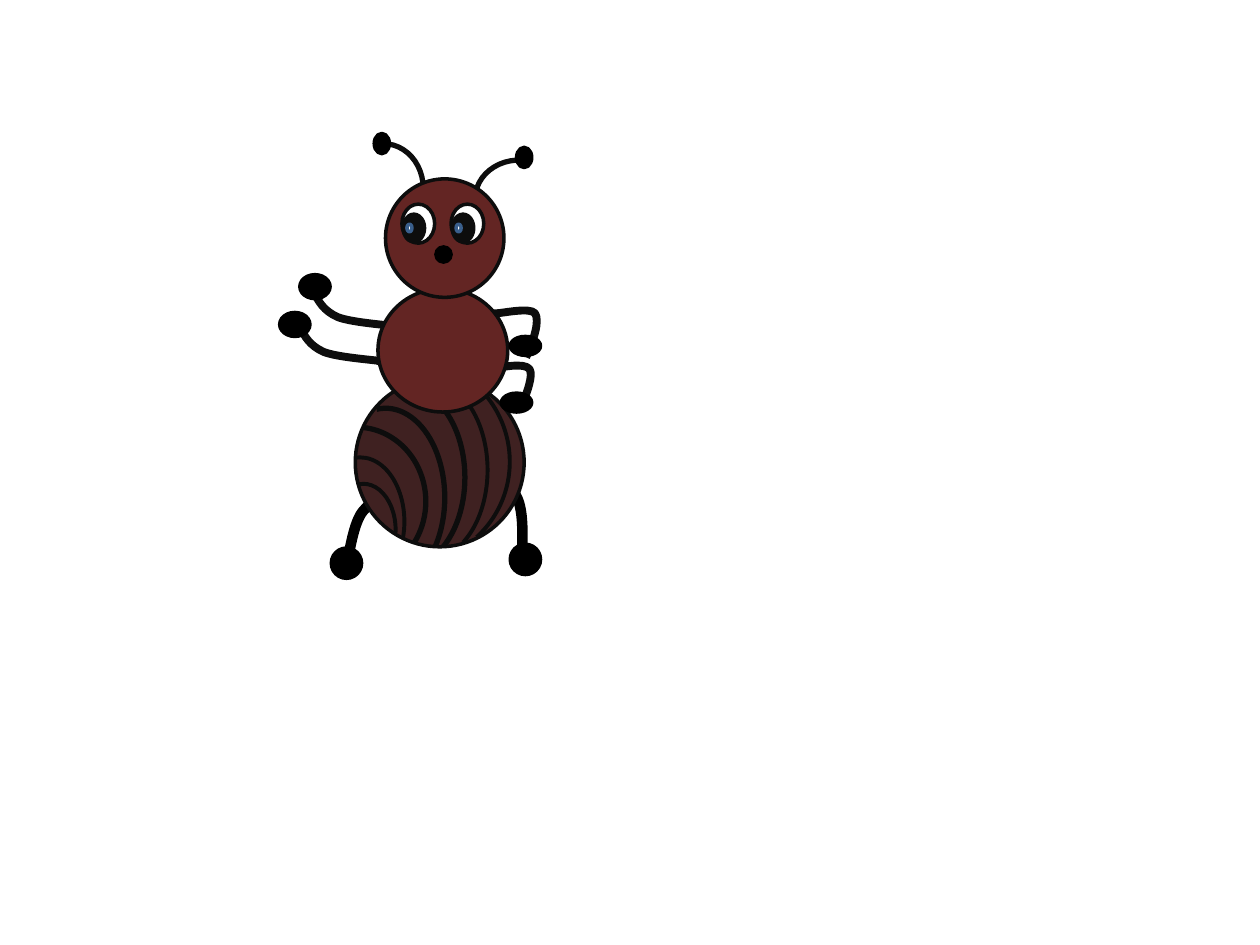
from dataclasses import dataclass
from math import cos, radians, sin

from lxml.etree import SubElement as Sub
from pptx import Presentation
from pptx.dml.color import RGBColor
from pptx.enum.shapes import MSO_SHAPE as Shape
from pptx.oxml.ns import qn
from pptx.shapes.autoshape import Shape as Auto
from pptx.shapes.shapetree import GroupShapes
from pptx.util import Inches, Pt

Point = tuple[float, float]


@dataclass(frozen=True)
class Theme:
    ink: str = "0D0D0D"
    black: str = "000000"
    white: str = "FFFFFF"
    skin: str = "632523"
    belly: str = "3F2121"
    glint: str = "3A5F8C"
    edge: float = 2
    thin: float = 2.25
    thick: float = 3
    arm: float = 4.5
    leg: float = 6


THEME = Theme()


@dataclass(frozen=True)
class Oval:
    left: float
    top: float
    width: float
    height: float
    fill: str = THEME.black
    line: str = THEME.black


@dataclass(frozen=True)
class Arc:
    left: float
    top: float
    width: float
    height: float
    start: float = 162
    end: float = 0
    weight: float = THEME.thick
    turn: float = 0


@dataclass(frozen=True)
class Limb:
    mid: Point
    turn: float
    weight: float
    color: str
    points: tuple[Point, ...]


ARM = ((2.49, 2.32), (2.53, 2.4), (2.57, 2.47), (2.68, 2.52), (2.78, 2.56),
       (3.04, 2.58), (3.11, 2.59), (3.18, 2.6), (3.1, 2.59), (3.1, 2.59))
LOW_ARM = tuple((x - 0.11, y + 0.28) for x, y in ARM)
HIP_ARM = ((4.15, 2.81), (4.21, 2.67), (4.26, 2.52), (4.22, 2.46), (4.18, 2.41),
           (3.96, 2.46), (3.91, 2.46), (3.86, 2.46), (3.91, 2.46), (3.91, 2.46))
LOW_HIP = ((4.12, 3.21), (4.17, 3.08), (4.22, 2.95), (4.19, 2.9), (4.15, 2.84),
           (3.95, 2.89), (3.9, 2.89), (3.85, 2.89), (3.9, 2.89), (3.9, 2.89))
LEFT_LEG = ((3.19, 3.93), (3.07, 3.95), (2.95, 3.96), (2.88, 4.05), (2.8, 4.14),
            (2.77, 4.39), (2.75, 4.46), (2.73, 4.53), (2.75, 4.46), (2.74, 4.48))
RIGHT_LEG = ((3.61, 3.7), (3.8, 3.75), (3.99, 3.79), (4.08, 3.91), (4.17, 4.02),
             (4.14, 4.3), (4.15, 4.38), (4.16, 4.46), (4.15, 4.38), (4.16, 4.4))

LIMBS = (
    Limb((2.81, 2.5), 18.6, THEME.arm, THEME.ink, ARM),
    Limb((4.05, 2.98), 215.7, THEME.arm, THEME.ink, LOW_HIP),
    Limb((2.69, 2.78), 18.6, THEME.arm, THEME.ink, LOW_ARM),
    Limb((4.08, 2.56), 215.7, THEME.arm, THEME.ink, HIP_ARM),
    Limb((2.97, 4.21), 11.8, THEME.leg, THEME.black, LEFT_LEG),
    Limb((3.89, 4.06), 0, THEME.leg, THEME.black, RIGHT_LEG),
)
BELLY = Oval(2.82, 3, 1.34, 1.34, THEME.belly, THEME.ink)
ARCS = (
    Arc(2.59, 3.24, 0.94, 1.42, 158.55, 26.74),
    Arc(2.75, 3.08, 0.94, 1.42, 158.55, 36.8),
    Arc(2.93, 3.02, 0.94, 1.42, 158.55, 38.63, THEME.thin),
    Arc(2.51, 3.63, 0.7, 1.02, 158.88, 12.3, THEME.thin),
    Arc(2.63, 3.84, 0.51, 0.73, 158.37, 3.31, THEME.thin),
    Arc(2.28, 3.39, 1.1, 1.18, 165.52, 21.66),
    Arc(2.4, 2.84, 1.65, 1.63, 163.36, 3.22, THEME.thin, 42.1),
    Arc(2.73, 1.14, 0.63, 0.71),
    Arc(3.81, 1.23, 0.63, 0.71, turn=273.2),
)
CHEST = Oval(3, 2.29, 1.03, 0.98, THEME.skin, THEME.ink)
HEAD = Oval(3.06, 1.42, 0.94, 0.94, THEME.skin, THEME.ink)
EYES = (3.58, 3.19)
TIPS = (
    Oval(4.05, 2.67, 0.24, 0.15),
    Oval(3.98, 3.12, 0.24, 0.15),
    Oval(4.05, 4.32, 0.24, 0.24),
    Oval(2.63, 4.35, 0.24, 0.24),
    Oval(3.46, 1.96, 0.12, 0.12),
    Oval(2.97, 1.06, 0.12, 0.16),
    Oval(4.1, 1.17, 0.12, 0.16),
    Oval(2.38, 2.18, 0.24, 0.19),
    Oval(2.22, 2.48, 0.24, 0.19),
)


def stroke(shape: Auto, color: str, weight: float) -> None:
    shape.shadow.inherit = False
    shape.line.color.rgb = RGBColor.from_string(color)
    shape.line.width = Pt(weight)


def draw_oval(shapes: GroupShapes, oval: Oval) -> None:
    box = map(Inches, (oval.left, oval.top, oval.width, oval.height))
    shape = shapes.add_shape(Shape.OVAL, *box)
    shape.fill.solid()
    shape.fill.fore_color.rgb = RGBColor.from_string(oval.fill)
    stroke(shape, oval.line, THEME.edge)


def draw_arc(shapes: GroupShapes, arc: Arc) -> None:
    box = map(Inches, (arc.left, arc.top, arc.width, arc.height))
    shape = shapes.add_shape(Shape.ARC, *box)
    shape.adjustments[0] = arc.start
    shape.adjustments[1] = arc.end
    shape.rotation = arc.turn
    shape.fill.background()
    stroke(shape, THEME.ink, arc.weight)


def spin(point: Point, mid: Point, turn: float) -> Point:
    angle = radians(turn)
    x, y = point[0] - mid[0], point[1] - mid[1]
    return (mid[0] + x * cos(angle) - y * sin(angle),
            mid[1] + x * sin(angle) + y * cos(angle))


def bend(shape: Auto) -> None:
    track = shape.element.find(f".//{qn('a:path')}")
    lines = track.findall(qn("a:lnTo"))
    for first in range(0, len(lines), 3):
        curve = Sub(track, qn("a:cubicBezTo"))
        for line in lines[first:first + 3]:
            curve.append(line[0])
            track.remove(line)


def draw_limb(shapes: GroupShapes, limb: Limb) -> None:
    flat = [spin(point, limb.mid, -limb.turn) for point in limb.points]
    start, *rest = [(Inches(x), Inches(y)) for x, y in flat]
    pen = shapes.build_freeform(*start)
    pen.add_line_segments(rest, close=False)
    shape = pen.convert_to_shape()
    bend(shape)
    shape.rotation = limb.turn
    shape.fill.background()
    stroke(shape, limb.color, limb.weight)


def draw_eye(shapes: GroupShapes, left: float) -> None:
    draw_oval(shapes, Oval(left, 1.62, 0.26, 0.31, THEME.white, THEME.ink))
    draw_oval(shapes, Oval(left + 0.01, 1.7, 0.17, 0.22, THEME.ink, THEME.ink))
    draw_oval(shapes, Oval(left + 0.04, 1.78, 0.04, 0.06, THEME.white, THEME.glint))


def main() -> None:
    deck = Presentation()
    deck.slide_width, deck.slide_height = Inches(10), Inches(7.5)
    slide = deck.slides.add_slide(deck.slide_layouts[6])
    ant = slide.shapes.add_group_shape().shapes
    for limb in LIMBS:
        draw_limb(ant, limb)
    draw_oval(ant, BELLY)
    for arc in ARCS:
        draw_arc(ant, arc)
    for oval in (CHEST, HEAD):
        draw_oval(ant, oval)
    for left in EYES:
        draw_eye(ant, left)
    for tip in TIPS:
        draw_oval(ant, tip)
    deck.save("out.pptx")


if __name__ == "__main__":
    main()
